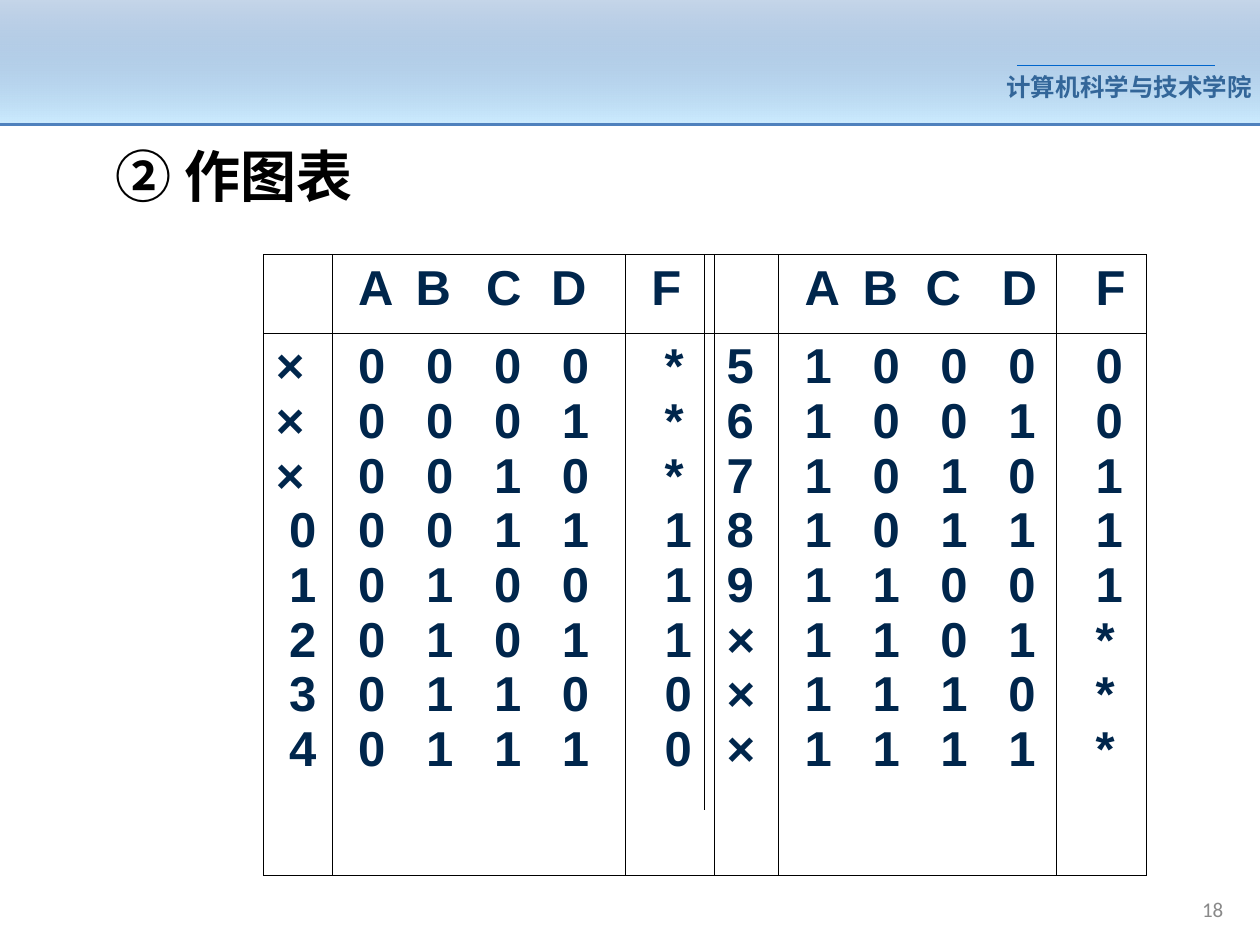
from itertools import product

from lxml.etree import SubElement
from pptx import Presentation
from pptx.dml.color import RGBColor as Rgb
from pptx.enum.shapes import MSO_CONNECTOR as Connector, MSO_SHAPE as Shape
from pptx.enum.text import MSO_ANCHOR as Anchor, PP_ALIGN as Align
from pptx.oxml.ns import qn
from pptx.util import Cm, Pt

# Content
SCHOOL = "计算机科学与技术学院"
TITLE = "② 作图表"
PAGE_NUMBER = "18"
INPUTS = "ABCD"
OUTPUT = "F"
DIGITS = ["×", "×", "×", "0", "1", "2", "3", "4", "5", "6", "7", "8", "9", "×", "×", "×"]
RESULTS = ["*", "*", "*", "1", "1", "1", "0", "0", "0", "0", "1", "1", "1", "*", "*", "*"]
CODES = ["\t".join(bits) for bits in product("01", repeat=4)]


class Theme:
    latin, number_font, east_asian = "Arial", "Calibri", "Noto Sans CJK SC"
    school, title, cell, number = "336699", "000000", "00264C", "898989"
    banner_top, banner_bottom, banner_alpha = "4F81BD", "CCECFF", 32
    accent, black = "0066CC", "000000"
    school_size, title_size, cell_size, number_size = 14, 32, 28, 12
    border = 0.45


# Layout in centimetres
WIDTH, HEIGHT, BANNER = 25.4, 19.05, 2.51
TABLE_LEFT, TABLE_TOP = 5.31, 5.13
COLUMNS = [1.39, 5.91, 1.79, 1.3, 5.6, 1.81]
ROWS = [1.59, 10.93]
PAD, STEP = 0.25, 0.27
BIT_TABS = [1.37, 2.74, 4.11]
HEADER_TABS = [[1.16, 2.58, 3.89], [1.17, 2.44, 3.97]]


def write(frame, lines, size, color, font=Theme.latin, bold=True,
          align=Align.LEFT, tabs=(), indents=None):
    """Fill a text frame, one paragraph for each line."""
    frame.word_wrap = True
    for index, line in enumerate(lines):
        para = frame.paragraphs[0] if index == 0 else frame.add_paragraph()
        para.alignment = align
        properties = para._p.get_or_add_pPr()
        if indents:
            properties.set("marL", str(Cm(indents[index])))
        if tabs:
            tab_list = SubElement(properties, qn("a:tabLst"))
            for stop in tabs:
                SubElement(tab_list, qn("a:tab"), pos=str(Cm(stop)), algn="l")
        span = para.add_run()
        span.text = line
        span.font.size, span.font.bold, span.font.name = Pt(size), bold, font
        span.font.color.rgb = Rgb.from_string(color)
        SubElement(span._r.get_or_add_rPr(), qn("a:ea"), typeface=Theme.east_asian)


def add_text(page, place, text, size, color, side=PAD, anchor=Anchor.TOP, **style):
    box = page.shapes.add_textbox(*map(Cm, place))
    frame = box.text_frame
    frame.margin_left = frame.margin_right = Cm(side)
    frame.vertical_anchor = anchor
    write(frame, [text], size, color, **style)


def add_line(page, start, end, color, width):
    line = page.shapes.add_connector(Connector.STRAIGHT, *map(Cm, start + end))
    line.line.color.rgb = Rgb.from_string(color)
    line.line.width = Pt(width)
    SubElement(line._element.spPr, qn("a:effectLst"))


def add_banner(page):
    banner = page.shapes.add_shape(Shape.RECTANGLE, 0, 0, Cm(WIDTH), Cm(BANNER))
    banner.shadow.inherit = False
    banner.line.fill.background()
    banner.fill.gradient()
    banner.fill.gradient_angle = 270
    for stop, color in zip(banner.fill.gradient_stops, (Theme.banner_top, Theme.banner_bottom)):
        stop.color.rgb = Rgb.from_string(color)
    top_color = banner._element.spPr.find(".//" + qn("a:srgbClr"))
    SubElement(top_color, qn("a:alpha"), val=str(Theme.banner_alpha * 1000))


def outline(cell):
    properties = cell._tc.get_or_add_tcPr()
    for side in ("lnL", "lnR", "lnT", "lnB"):
        edge = SubElement(properties, qn("a:" + side), w=str(Pt(Theme.border)))
        fill = SubElement(edge, qn("a:solidFill"))
        SubElement(fill, qn("a:srgbClr"), val=Theme.black)
    cell.fill.background()


def add_truth_table(page):
    grid = page.shapes.add_table(len(ROWS), len(COLUMNS), Cm(TABLE_LEFT), Cm(TABLE_TOP),
                                 Cm(sum(COLUMNS)), Cm(sum(ROWS))).table
    grid.first_row = grid.horz_banding = False
    for column, width in zip(grid.columns, COLUMNS):
        column.width = Cm(width)
    for row, height in zip(grid.rows, ROWS):
        row.height = Cm(height)
    for row in grid.rows:
        for cell in row.cells:
            outline(cell)

    def fill_cell(row, column, lines, lead=0, **style):
        cell = grid.cell(row, column)
        cell.margin_left, cell.margin_right = Cm(PAD + lead), Cm(0)
        write(cell.text_frame, lines, Theme.cell_size, Theme.cell, **style)

    # Left half holds codes 0 to 7, right half codes 8 to 15
    for half in range(2):
        first = half * 3
        part = slice(half * 8, half * 8 + 8)
        labels = DIGITS[part]
        indents = [STEP if half == 0 and label != "×" else 0 for label in labels]
        fill_cell(0, first + 1, ["\t".join(INPUTS)], STEP, tabs=HEADER_TABS[half])
        fill_cell(0, first + 2, [OUTPUT], STEP * (half + 1))
        fill_cell(1, first, labels, indents=indents)
        fill_cell(1, first + 1, CODES[part], STEP, tabs=BIT_TABS)
        fill_cell(1, first + 2, RESULTS[part], STEP * 2)


def main():
    deck = Presentation()
    deck.slide_width, deck.slide_height = Cm(WIDTH), Cm(HEIGHT)
    page = deck.slides.add_slide(deck.slide_layouts[6])

    # Banner
    add_banner(page)
    add_text(page, (20.29, 1.32, 5, 0.86), SCHOOL, Theme.school_size, Theme.school, side=0)
    add_line(page, (20.5, 1.32), (24.5, 1.32), Theme.accent, 0.75)
    add_line(page, (0, BANNER), (WIDTH, BANNER), Theme.banner_top, 1.5)

    # Page number and title
    add_text(page, (19.3, 17.93, 5.61, 0.81), PAGE_NUMBER, Theme.number_size, Theme.number,
             anchor=Anchor.MIDDLE, font=Theme.number_font, bold=False, align=Align.RIGHT)
    add_text(page, (1.3, 2.72, 13.08, 1.63), TITLE, Theme.title_size, Theme.title,
             font=Theme.east_asian, indents=[0.78])

    # Truth table with the second rule between its halves
    add_truth_table(page)
    add_line(page, (14.2, TABLE_TOP), (14.2, 16.33), Theme.black, 0.5)

    deck.save("out.pptx")


if __name__ == "__main__":
    main()
